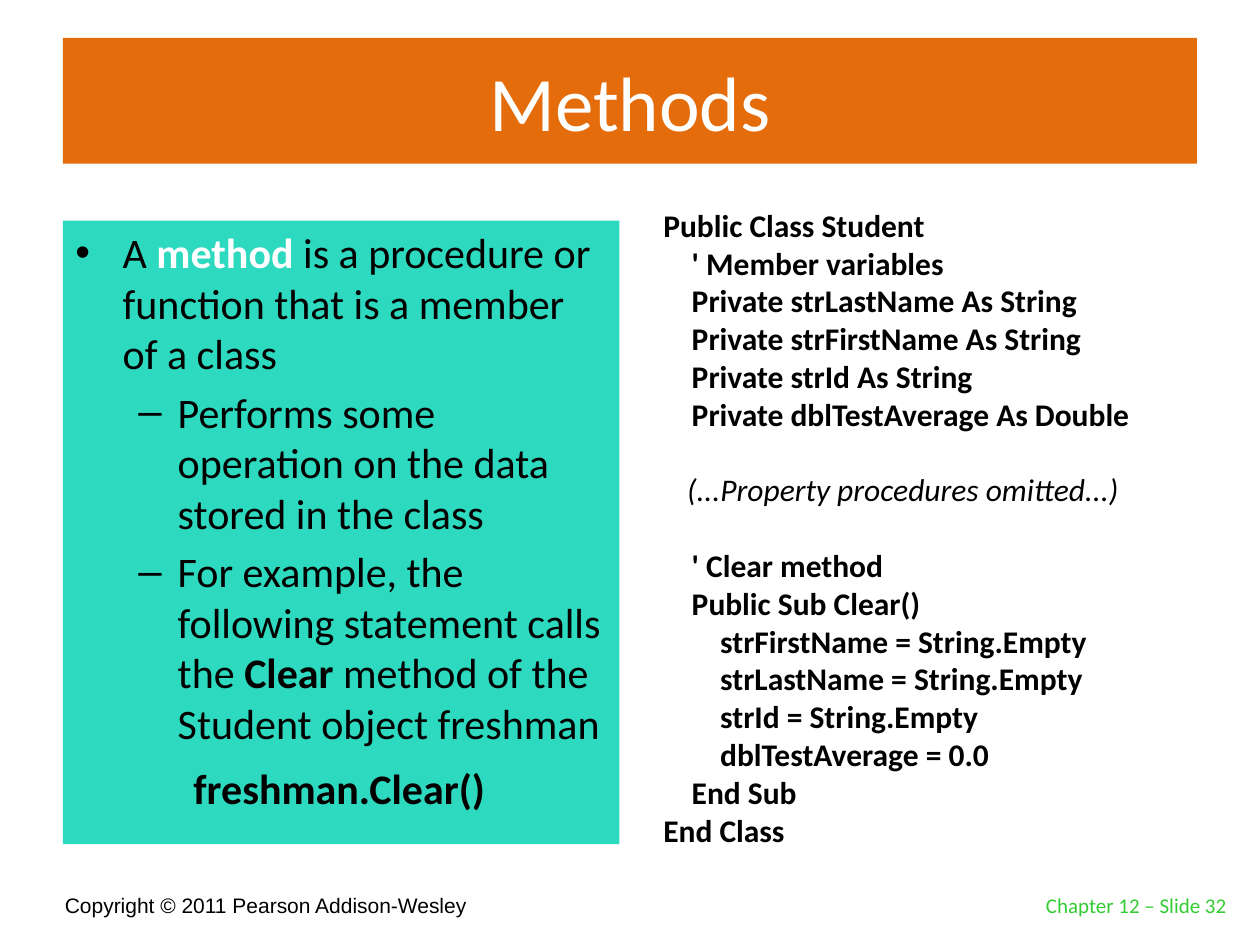
from pptx import Presentation, util as u
from pptx.dml.color import RGBColor
from pptx.enum import shapes, text
from pptx.oxml import parse_xml
from pptx.oxml.ns import nsdecls

Pt = u.Pt
COLORS = {"orange": "E46C0A", "teal": "2DD9BF", "white": "FFFFFF",
          "black": "000000", "green": "33CC33"}
CODE_LINE = 21.6

deck = Presentation()
deck.slide_width, deck.slide_height = Pt(720), Pt(540)
page = deck.slides.add_slide(deck.slide_layouts[6])


def add_box(left, top, width, height, fill=None, anchor="TOP", wrap=True):
    """Add a text box, or a filled rectangle, and return its text frame."""
    place = [Pt(v) for v in (left, top, width, height)]
    if fill:
        box = page.shapes.add_shape(shapes.MSO_SHAPE.RECTANGLE, *place)
        box.shadow.inherit = False
        box.fill.solid()
        box.fill.fore_color.rgb = RGBColor.from_string(COLORS[fill])
        box.line.fill.background()
    else:
        box = page.shapes.add_textbox(*place)
    frame = box.text_frame
    frame.word_wrap = wrap
    frame.vertical_anchor = text.MSO_ANCHOR[anchor]
    return frame


def add_para(frame, spans, size, align="LEFT", color="black", font="Calibri", before=0):
    """Write (words, format) spans into the next paragraph of the frame."""
    para = frame.paragraphs[0]
    if para.runs:
        para = frame.add_paragraph()
    para.alignment = text.PP_ALIGN[align]
    para.space_before = Pt(before)
    for words, values in spans:
        span = para.add_run()
        span.text = words
        span.font.color.rgb = RGBColor.from_string(COLORS[values.get("color", color)])
        settings = {"name": font, "size": Pt(size), "bold": values.get("bold", False),
                    "italic": values.get("italic", False)}
        for key, value in settings.items():
            setattr(span.font, key, value)
    return para


# Footer and title
footer = add_box(30, 498, 438, 30, anchor="BOTTOM")
add_para(footer, [("Copyright © 2011 Pearson Addison-Wesley", {})], 12, font="Arial")
title = add_box(36, 21.6, 648, 72, fill="orange", anchor="MIDDLE")
add_para(title, [("Methods", {})], 44, "CENTER", "white")

# Bulleted explanation
bold = {"bold": True}
points = [
    (0, [("A ", {}), ("method", {"bold": True, "color": "white"}),
         (" is a procedure or function that is a member of a class", {})]),
    (1, [("Performs some operation on the data stored in the class", {})]),
    (1, [("For example, the following statement calls the ", {}), ("Clear", bold),
         (" method of the Student object freshman", {})]),
]
bullets = [("•", 27, -27), ("–", 58.5, -22.5)]
body = add_box(36, 126, 318, 356.4, fill="teal")
for number, (level, spans) in enumerate(points):
    para = add_para(body, spans, 24, before=4.8 if number else 0)
    para.level = level
    mark, margin, indent = bullets[level]
    props = para._p.get_or_add_pPr()
    props.set("marL", str(Pt(margin)))
    props.set("indent", str(Pt(indent)))
    props.append(parse_xml(f'<a:buFont {nsdecls("a")} typeface="Arial"/>'))
    props.append(parse_xml(f'<a:buChar {nsdecls("a")} char="{mark}"/>'))

slide_number = add_box(558, 492, 150, 36, anchor="BOTTOM")
add_para(slide_number, [("Chapter 12 – Slide 32", {})], 12, "RIGHT", "green")

# Class listing
declarations = """Public Class Student
    ' Member variables
    Private strLastName As String
    Private strFirstName As String
    Private strId As String
    Private dblTestAverage As Double"""
clear_method = """    ' Clear method
    Public Sub Clear()
        strFirstName = String.Empty
        strLastName = String.Empty
        strId = String.Empty
        dblTestAverage = 0.0
    End Sub
End Class"""
listing = add_box(372, 114, 288, 378)
for line in declarations.split("\n"):
    add_para(listing, [(line, bold)], 18)
add_para(listing, [("(...Property procedures omitted...)", {"italic": True})], 18,
         "CENTER", before=CODE_LINE)
for number, line in enumerate(clear_method.split("\n")):
    add_para(listing, [(line, bold)], 18, before=0 if number else CODE_LINE)

call = add_box(103.5, 432, 183, 36, wrap=False)
add_para(call, [("freshman.Clear()", bold)], 24)

deck.save("out.pptx")
